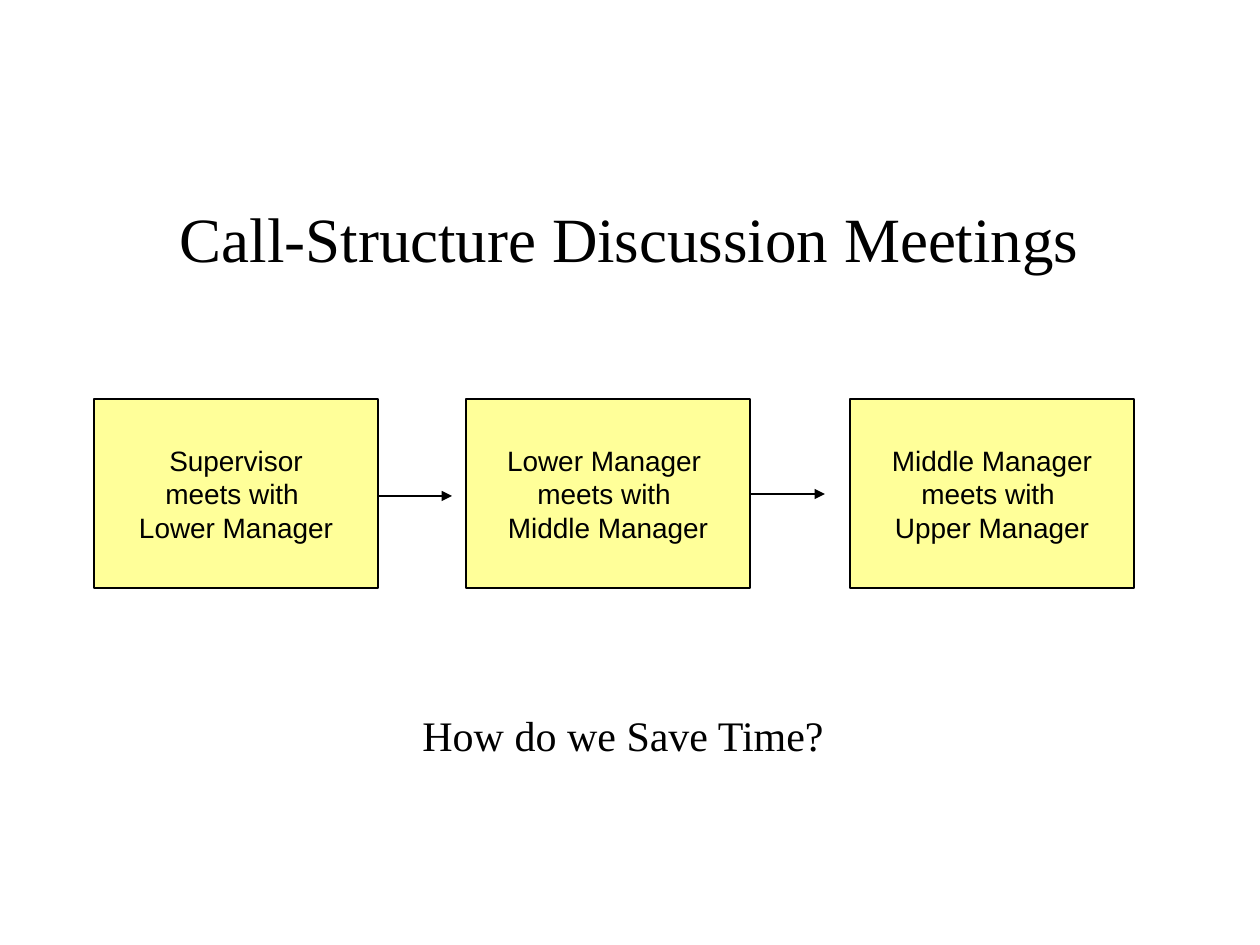
from dataclasses import dataclass
from typing import Any

from lxml.etree import SubElement
from pptx import Presentation
from pptx.dml.color import RGBColor
from pptx.enum.shapes import MSO_CONNECTOR as Connector, MSO_SHAPE as Shape
from pptx.enum.text import MSO_ANCHOR as Anchor, MSO_AUTO_SIZE as AutoSize, PP_ALIGN as Align
from pptx.oxml.ns import qn
from pptx.util import Emu, Pt

PX_PER_INCH = 126
COLOURS = {"ink": "000000", "box": "FFFF99"}
BOX_TOP, BOX_WIDTH, BOX_HEIGHT = 399, 284, 189
ARROW_LENGTH = 74
TITLE_FONT = {"name": "Times New Roman", "size": Pt(36)}
BOX_FONT = {"name": "Arial", "size": Pt(16)}
QUESTION_FONT = {"name": "Times New Roman", "size": Pt(24)}


@dataclass(frozen=True)
class Meeting:
    left: int
    lines: tuple[str, ...]


@dataclass(frozen=True)
class Arrow:
    left: int
    top: int


MEETINGS = (
    Meeting(94, ("Supervisor", "meets with ", "Lower Manager")),
    Meeting(466, ("Lower Manager ", "meets with ", "Middle Manager")),
    Meeting(850, ("Middle Manager", "meets with ", "Upper Manager")),
)
ARROWS = (Arrow(378, 496), Arrow(751, 494))


def px(length: int) -> Emu:
    return Emu(round(length * 914400 / PX_PER_INCH))


def colour(name: str) -> RGBColor:
    return RGBColor.from_string(COLOURS[name])


def apply(target: Any, values: dict[str, Any]) -> None:
    for name, value in values.items():
        setattr(target, name, value)


def write(shape: Any, lines: tuple[str, ...], font: dict[str, Any], align: Align,
          frame: dict[str, Any]) -> None:
    text_frame = shape.text_frame
    text_frame.text = "\n".join(lines)
    apply(text_frame, frame)
    for paragraph in text_frame.paragraphs:
        paragraph.alignment = align
        apply(paragraph.font, font)
        paragraph.font.color.rgb = colour("ink")


def outline(shape: Any) -> None:
    shape.line.color.rgb = colour("ink")
    shape.line.width = Pt(0.75)


def draw_meeting(slide: Any, meeting: Meeting) -> None:
    shape = slide.shapes.add_shape(
        Shape.RECTANGLE, px(meeting.left), px(BOX_TOP), px(BOX_WIDTH), px(BOX_HEIGHT))
    shape.shadow.inherit = False
    shape.fill.solid()
    shape.fill.fore_color.rgb = colour("box")
    outline(shape)
    write(shape, meeting.lines, BOX_FONT, Align.CENTER,
          {"word_wrap": False, "vertical_anchor": Anchor.MIDDLE})


def draw_arrow(slide: Any, arrow: Arrow) -> None:
    connector = slide.shapes.add_connector(
        Connector.STRAIGHT, px(arrow.left), px(arrow.top),
        px(arrow.left + ARROW_LENGTH), px(arrow.top))
    outline(connector)
    SubElement(connector.line._get_or_add_ln(), qn("a:tailEnd"), type="triangle")
    SubElement(connector._element.spPr, qn("a:effectLst"))


def main() -> None:
    presentation = Presentation()
    apply(presentation, {"slide_width": px(1260), "slide_height": px(945)})
    slide = presentation.slides.add_slide(presentation.slide_layouts[5])

    title = slide.shapes.title
    apply(title, {"left": px(94), "top": px(158), "width": px(1071), "height": px(158)})
    write(title, ("Call-Structure Discussion Meetings",), TITLE_FONT, Align.CENTER,
          {"word_wrap": True, "vertical_anchor": Anchor.MIDDLE, "auto_size": AutoSize.NONE})

    for meeting in MEETINGS:
        draw_meeting(slide, meeting)
    for arrow in ARROWS:
        draw_arrow(slide, arrow)

    question = slide.shapes.add_textbox(px(410), px(703), px(483), px(63))
    write(question, ("How do we Save Time?",), QUESTION_FONT, Align.LEFT,
          {"word_wrap": True, "auto_size": AutoSize.SHAPE_TO_FIT_TEXT})

    presentation.save("out.pptx")


if __name__ == "__main__":
    main()
